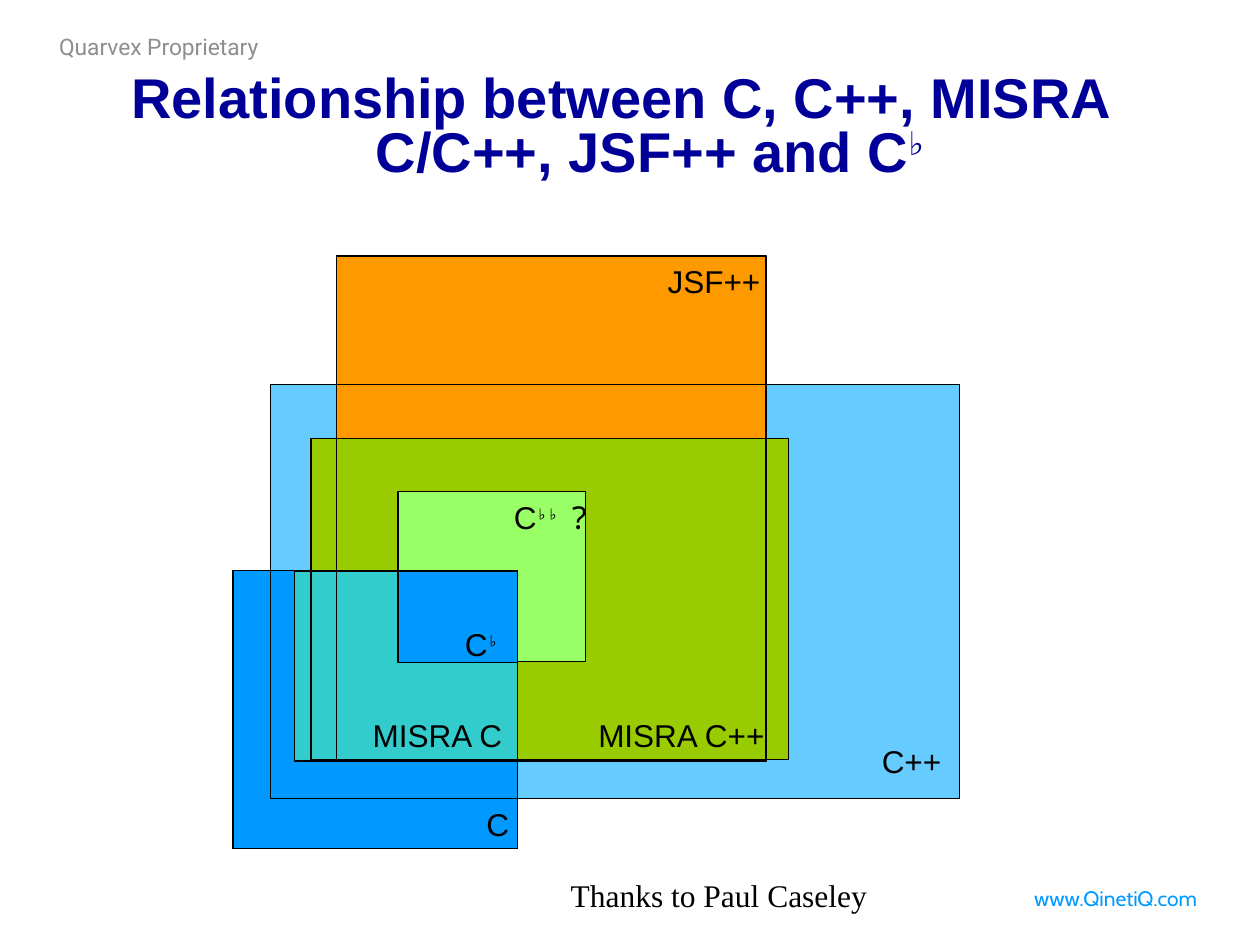
from pptx import Presentation
from pptx.dml.color import RGBColor
from pptx.enum.shapes import MSO_SHAPE
from pptx.enum.text import MSO_ANCHOR, MSO_AUTO_SIZE, PP_ALIGN
from pptx.util import Pt

RECT = MSO_SHAPE.RECTANGLE
TOP = MSO_ANCHOR.TOP
NO_FIT, GROW = MSO_AUTO_SIZE.NONE, MSO_AUTO_SIZE.SHAPE_TO_FIT_TEXT
LEFT, CENTER = PP_ALIGN.LEFT, PP_ALIGN.CENTER

BLACK = RGBColor(0x00, 0x00, 0x00)
NAVY = RGBColor(0x00, 0x00, 0x99)
GREY = RGBColor(0x8E, 0x8E, 0x91)
BLUE = RGBColor(0x00, 0x99, 0xFF)
SKY = RGBColor(0x66, 0xCC, 0xFF)
ORANGE = RGBColor(0xFF, 0x99, 0x00)
OLIVE = RGBColor(0x99, 0xCC, 0x00)
TEAL = RGBColor(0x33, 0xCC, 0xCC)
LIME = RGBColor(0x99, 0xFF, 0x66)

SANS, MONO, SERIF = "Arial", "Noto Sans Mono", "Times New Roman"


def add_rect(shapes, box, fill=None):
    sp = shapes.add_shape(RECT, *[Pt(v) for v in box])
    sp.shadow.inherit = False
    if fill is None:
        sp.fill.background()
    else:
        sp.fill.solid()
        sp.fill.fore_color.rgb = fill
    sp.line.color.rgb = BLACK
    sp.line.width = Pt(0.75)


def add_text(shapes, box, runs, size=18, color=BLACK, align=LEFT, inset=7.2):
    """Each run is (text, font, raised)."""
    sp = shapes.add_textbox(*[Pt(v) for v in box])
    tf = sp.text_frame
    tf.word_wrap = True
    tf.auto_size = GROW
    tf.margin_left = Pt(inset)
    p = tf.paragraphs[0]
    p.alignment = align
    for text, font, raised in runs:
        r = p.add_run()
        r.text = text
        r.font.name = font
        r.font.size = Pt(size)
        r.font.color.rgb = color
        if raised:
            r.font._element.set("baseline", "30000")


prs = Presentation()
prs.slide_width, prs.slide_height = Pt(720), Pt(540)
s = prs.slides.add_slide(prs.slide_layouts[5])

# Title, with a hanging indent
title = s.shapes.title
title.left, title.top, title.width, title.height = Pt(33.8), Pt(43.2), Pt(642.2), Pt(31)
tf = title.text_frame
tf.word_wrap = True
tf.auto_size = NO_FIT
tf.vertical_anchor = TOP
tf.margin_left = tf.margin_top = tf.margin_right = tf.margin_bottom = 0
p = tf.paragraphs[0]
p.alignment = CENTER
p.line_spacing = 0.8
pPr = p._p.get_or_add_pPr()
pPr.set("marL", str(Pt(33)))
pPr.set("indent", str(Pt(-33)))
for text, raised in [("Relationship between C, C++, MISRA C/C++, JSF++ and C", False),
                     ("♭", True)]:
    r = p.add_run()
    r.text = text
    r.font.name = SANS
    r.font.size = Pt(32)
    r.font.bold = True
    r.font.color.rgb = NAVY
    if raised:
        r.font._element.set("baseline", "30000")

# Header and footer
add_text(s.shapes, (33.8, 15.1, 193, 23), [("Quarvex Proprietary", "Roboto", False)],
         size=13, color=GREY, inset=0)
add_text(s.shapes, (583.9, 502.6, 113, 36), [("www.QinetiQ.com", "Cabin", False)],
         size=12, color=BLUE)

# Language sets, from back to front
CPP = (154.8, 219.6, 393.5, 236.9)
C = (133.2, 326.2, 162.7, 158.8)
JSF = (192.2, 146.2, 245.5, 288.7)
MISRA_CPP = (177.8, 250.6, 272.9, 183.6)
MISRA_C = (168.5, 326.2, 127.4, 108.7)
C_FLAT_FLAT = (227.5, 280.8, 107.3, 97.2)
C_FLAT = (227.5, 326.2, 68.4, 52.4)

# rectangle, fill, label left, top and width, alignment, label runs
language_sets = [
    (CPP, SKY, (496.8, 420.5, 64.8), LEFT, [("C++", SANS, False)]),
    (C, BLUE, (258.5, 456.5, 51.8), CENTER, [("C", SANS, False)]),
    (JSF, ORANGE, (374.4, 146.2, 75.6), LEFT, [("JSF++", SANS, False)]),
    (MISRA_CPP, OLIVE, (334.8, 405.7, 115.9), LEFT, [("MISRA C++", SANS, False)]),
    (MISRA_C, TEAL, (205.9, 405.7, 115.9), LEFT, [("MISRA C", SANS, False)]),
    (C_FLAT_FLAT, LIME, (286.6, 280.8, 70.6), LEFT,
     [("C", SANS, False), ("♭♭ ", MONO, True), ("?", MONO, False)]),
    (C_FLAT, BLUE, (258.5, 353.5, 51.8), LEFT,
     [("C", SANS, False), ("♭", MONO, True)]),
]
for box, fill, label, align, runs in language_sets:
    group = s.shapes.add_group_shape()
    add_rect(group.shapes, box, fill)
    add_text(group.shapes, (*label, 28.8), runs, align=align)

# Outlines that show through the overlaps
for box in (C, MISRA_CPP, CPP, JSF):
    add_rect(s.shapes, box)

# Acknowledgement
add_text(s.shapes, (319, 496.8, 241.2, 28.8), [("Thanks to Paul Caseley", SERIF, False)])

prs.save("out.pptx")
